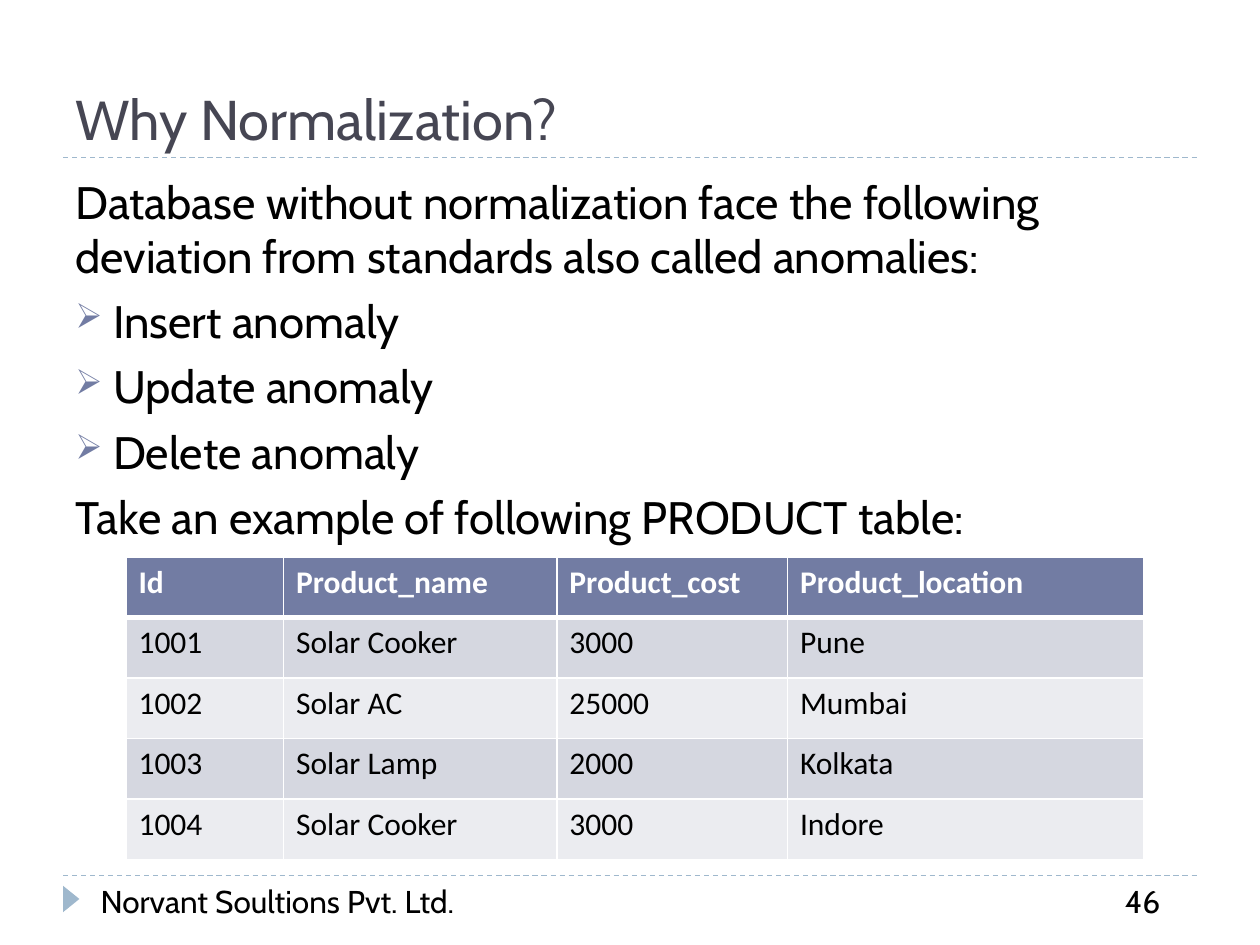
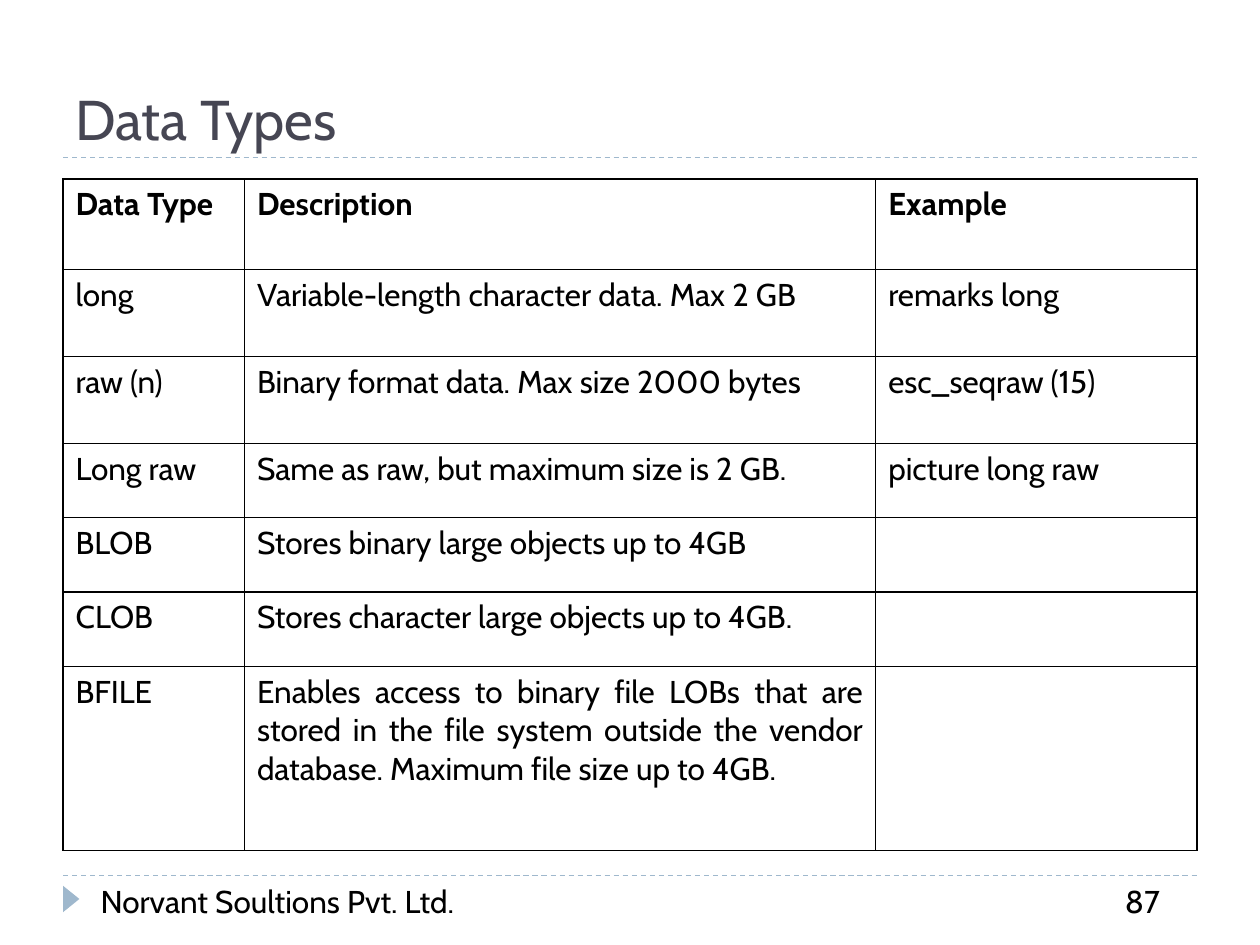
"""Build two database slides: normalization anomalies and large data types."""
import lxml.etree
import pptx
import pptx.dml.color
import pptx.enum.dml
import pptx.enum.shapes
import pptx.enum.text
import pptx.oxml
import pptx.oxml.ns
import pptx.util

Inches = pptx.util.Inches
Pt = pptx.util.Pt
RGBColor = pptx.dml.color.RGBColor
ALIGN = pptx.enum.text.PP_ALIGN
ANCHOR = pptx.enum.text.MSO_ANCHOR
qn = pptx.oxml.ns.qn

BLACK = RGBColor(0x00, 0x00, 0x00)
WHITE = RGBColor(0xFF, 0xFF, 0xFF)
TITLE = RGBColor(0x46, 0x46, 0x53)
RULE = RGBColor(0x9F, 0xB8, 0xCD)
ACCENT = RGBColor(0x72, 0x7C, 0xA3)
BAND_DARK = RGBColor(0xD5, 0xD7, 0xE0)
BAND_LIGHT = RGBColor(0xEB, 0xEC, 0xF0)
FONT = "Cabin"
FOOTER = "Norvant Soultions Pvt. Ltd."

PAGES = [("Why Normalization?", "46"), ("Data Types", "87")]

BODY = [
    ("Database without normalization face the following deviation from standards also called anomalies:", False),
    ("Insert anomaly", True),
    ("Update anomaly", True),
    ("Delete anomaly", True),
    ("Take an example of following PRODUCT table:", False),
]

PRODUCTS = [
    ("Id", "Product_name", "Product_cost", "Product_location"),
    ("1001", "Solar Cooker", "3000", "Pune"),
    ("1002", "Solar AC", "25000", "Mumbai"),
    ("1003", "Solar Lamp", "2000", "Kolkata"),
    ("1004", "Solar Cooker", "3000", "Indore"),
]

DATA_TYPES = [
    ("Data Type", "Description", "Example"),
    ("long", "Variable-length character data. Max 2 GB", "remarks long"),
    ("raw (n)", "Binary format data. Max size 2000 bytes", "esc_seqraw (15)"),
    ("Long raw", "Same as raw, but maximum size is 2 GB.", "picture long raw"),
    ("BLOB", "Stores binary large objects up to 4GB", ""),
    ("CLOB", "Stores character large objects up to 4GB.", ""),
    ("BFILE", "Enables access to binary file LOBs that are stored in the file system outside "
     "the vendor database. Maximum file size up to 4GB.", ""),
]

TABLES = [
    dict(data=PRODUCTS, at=(1, 4.42), cols=[1.25, 2.17, 1.83, 2.83], rows=[0.48] * 5,
         font="Calibri", head=WHITE, fills=[ACCENT] + [BAND_DARK, BAND_LIGHT] * 2,
         align=ALIGN.LEFT, border=WHITE, head_rule=3),
    dict(data=DATA_TYPES, at=(0.5, 1.42), cols=[1.44, 5.01, 2.55],
         rows=[0.72, 0.69, 0.69, 0.59, 0.59, 0.59, 1.46],
         font=FONT, head=BLACK, fills=[None] * 7,
         align=ALIGN.JUSTIFY, border=BLACK, head_rule=1),
]


def add_run(p, text, size, color, font=FONT, bold=False):
    r = p.add_run()
    r.text = text
    r.font.name = font
    r.font.size = Pt(size)
    r.font.bold = bold
    r.font.color.rgb = color


def add_box(s, left, top, width, height, anchor=ANCHOR.TOP):
    tf = s.shapes.add_textbox(Inches(left), Inches(top), Inches(width), Inches(height)).text_frame
    tf.word_wrap = True
    tf.vertical_anchor = anchor
    return tf


prs = pptx.Presentation()
prs.slide_width = Inches(10)
prs.slide_height = Inches(7.5)

for (title, number), t in zip(PAGES, TABLES):
    s = prs.slides.add_slide(prs.slide_layouts[6])

    for y in (6.95, 1.25):
        line = s.shapes.add_connector(pptx.enum.shapes.MSO_CONNECTOR.STRAIGHT,
                                      Inches(0.5), Inches(y), Inches(9.5), Inches(y))
        line.line.color.rgb = RULE
        line.line.width = Pt(0.75)
        line.line.dash_style = pptx.enum.dml.MSO_LINE.DASH
        lxml.etree.SubElement(line._element.spPr, qn("a:effectLst"))

    sp = s.shapes.add_shape(pptx.enum.shapes.MSO_SHAPE.ISOSCELES_TRIANGLE,
                            Inches(0.46), Inches(7.07), Inches(0.21), Inches(0.13))
    sp.rotation = 90
    sp.shadow.inherit = False
    sp.fill.solid()
    sp.fill.fore_color.rgb = RULE
    sp.line.fill.background()

    tf = add_box(s, 0.5, 0.17, 9, 1.08, ANCHOR.BOTTOM)
    add_run(tf.paragraphs[0], title, 32, TITLE)
    for left, width, text in ((0.7, 3.8, FOOTER), (8.83, 0.67, number)):
        tf = add_box(s, left, 6.95, width, 0.4)
        add_run(tf.paragraphs[0], text, 18, BLACK)

    if t["data"] is PRODUCTS:
        tf = add_box(s, 0.5, 1.33, 9, 5.4)
        for i, (text, bulleted) in enumerate(BODY):
            p = tf.paragraphs[0] if i == 0 else tf.add_paragraph()
            if bulleted:
                pPr = p._p.get_or_add_pPr()
                pPr.set("marL", str(Inches(0.3)))
                pPr.set("indent", str(-Inches(0.3)))
                color = lxml.etree.SubElement(pPr, qn("a:buClr"))
                lxml.etree.SubElement(color, qn("a:srgbClr"), val=str(ACCENT))
                lxml.etree.SubElement(pPr, qn("a:buSzPct"), val="76000")
                lxml.etree.SubElement(pPr, qn("a:buChar"), char="➢")
            if i:
                p.space_before = Pt(6)
            add_run(p, text, 26, BLACK)

    left, top = t["at"]
    tbl = s.shapes.add_table(len(t["rows"]), len(t["cols"]), Inches(left), Inches(top),
                             Inches(sum(t["cols"])), Inches(sum(t["rows"]))).table
    tbl.first_row = False
    tbl.horz_banding = False
    for column, width in zip(tbl.columns, t["cols"]):
        column.width = Inches(width)
    for i, (row, height) in enumerate(zip(tbl.rows, t["rows"])):
        row.height = Inches(height)
        for cell, text in zip(row.cells, t["data"][i]):
            if t["fills"][i] is None:
                cell.fill.background()
            else:
                cell.fill.solid()
                cell.fill.fore_color.rgb = t["fills"][i]
            p = cell.text_frame.paragraphs[0]
            p.alignment = t["align"]
            if text:
                add_run(p, text, 18, BLACK if i else t["head"], t["font"], i == 0)
            widths = dict(lnL=1, lnR=1, lnT=t["head_rule"] if i == 1 else 1,
                          lnB=t["head_rule"] if i == 0 else 1)
            tcPr = cell._tc.get_or_add_tcPr()
            for k, (side, width) in enumerate(widths.items()):
                ln = lxml.etree.Element(qn("a:" + side), w=str(Pt(width)))
                fill = lxml.etree.SubElement(ln, qn("a:solidFill"))
                lxml.etree.SubElement(fill, qn("a:srgbClr"), val=str(t["border"]))
                tcPr.insert(k, ln)

prs.save("out.pptx")
